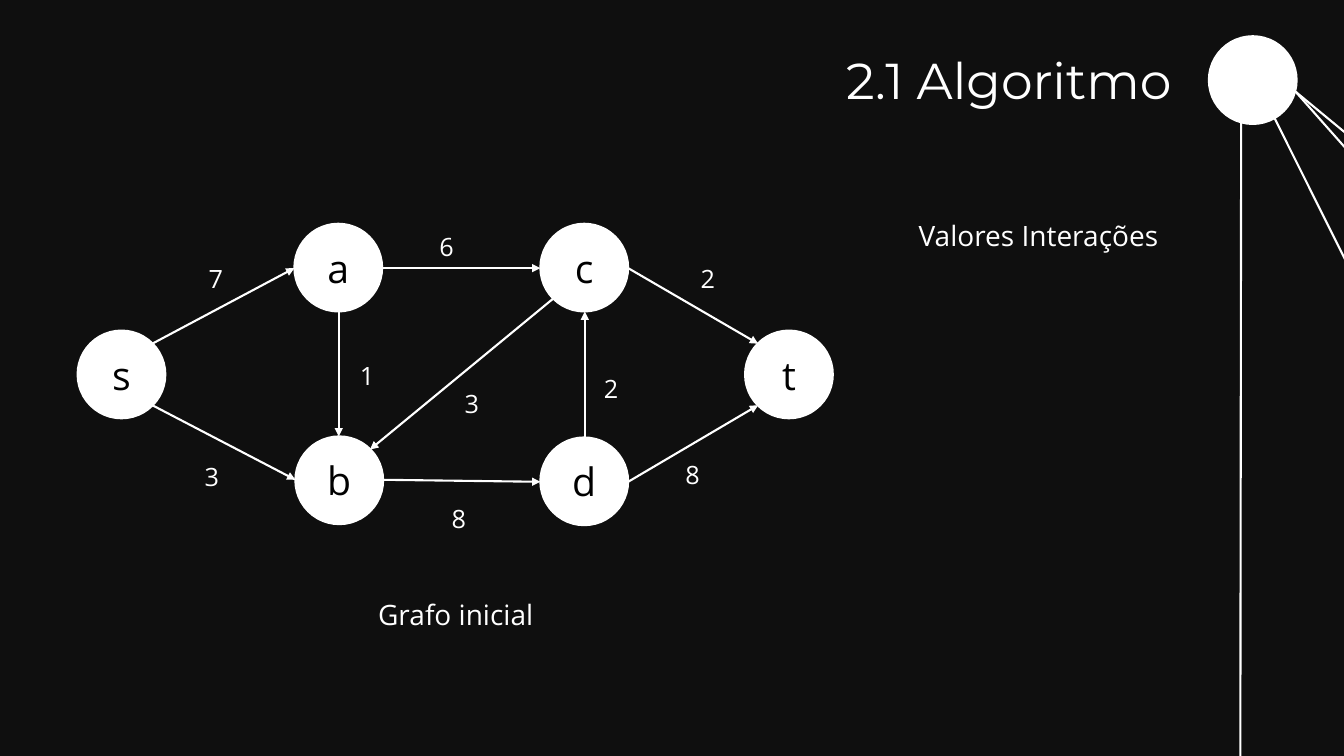
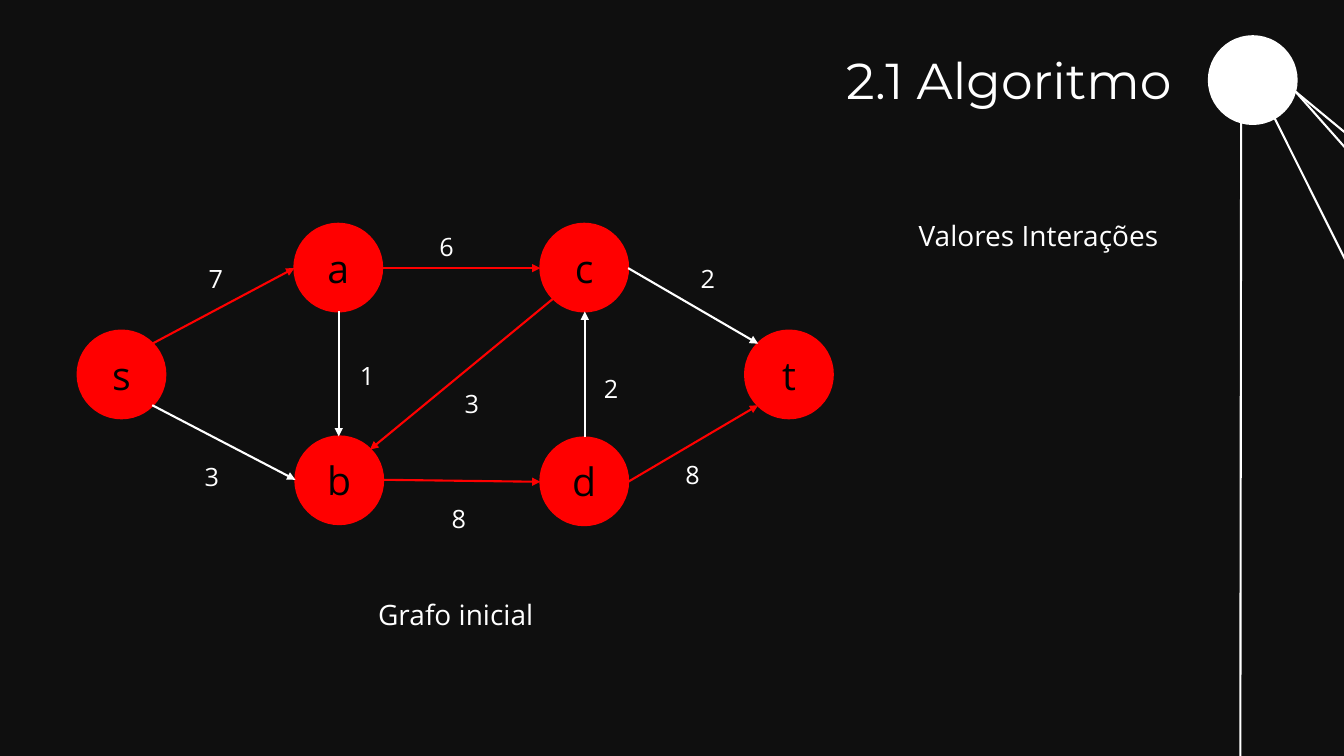
from dataclasses import dataclass
from math import sqrt

from pptx import Presentation
from pptx.dml.color import RGBColor
from pptx.enum.shapes import MSO_CONNECTOR as Connector, MSO_SHAPE as Preset
from pptx.enum.text import MSO_ANCHOR as Anchor, MSO_AUTO_SIZE as AutoSize, PP_ALIGN as Align
from pptx.oxml.ns import qn
from pptx.presentation import Presentation as Deck
from pptx.shapes.autoshape import Shape
from pptx.slide import Slide
from pptx.text.text import TextFrame
from pptx.util import Emu, Pt
from lxml.etree import SubElement

BLACK = RGBColor(0x00, 0x00, 0x00)
NIGHT = RGBColor(0x0F, 0x0F, 0x0F)
WHITE = RGBColor(0xFF, 0xFF, 0xFF)
RED = RGBColor(0xFF, 0x00, 0x00)

TITLE_FONT = "Montserrat"
BODY_FONT = "Open Sans"
LINE_WIDTH = Pt(1.5)
PX_PER_INCH = 100
DIAMETER = 87

Point = tuple[int, int]

DIAGONAL = 1 / sqrt(2)
COMPASS = {
    "N": (0, -1), "S": (0, 1), "W": (-1, 0), "E": (1, 0),
    "NE": (DIAGONAL, -DIAGONAL), "SE": (DIAGONAL, DIAGONAL),
    "NW": (-DIAGONAL, -DIAGONAL), "SW": (-DIAGONAL, DIAGONAL),
}


@dataclass(frozen=True)
class Node:
    left: int
    top: int

    def rim(self, direction: str) -> Point:
        """Point on the circle's edge in a compass direction."""
        dx, dy = COMPASS[direction]
        radius = DIAMETER / 2
        return round(self.left + radius * (1 + dx)), round(self.top + radius * (1 + dy))


@dataclass(frozen=True)
class Edge:
    source: str
    leaves: str
    target: str
    enters: str
    weight: str
    label_left: int
    label_top: int


@dataclass(frozen=True)
class Caption:
    text: str
    left: int
    top: int


NODES = {
    "s": Node(77, 328),
    "a": Node(292, 222),
    "b": Node(293, 433),
    "d": Node(536, 434),
    "c": Node(536, 222),
    "t": Node(739, 328),
}

EDGES = (
    Edge("s", "NE", "a", "W", "7", 197, 256),
    Edge("a", "E", "c", "W", "6", 426, 225),
    Edge("a", "S", "b", "N", "1", 347, 353),
    Edge("s", "SE", "b", "W", "3", 193, 453),
    Edge("c", "SW", "b", "NE", "3", 451, 380),
    Edge("b", "E", "d", "W", "8", 438, 494),
    Edge("d", "N", "c", "S", "2", 589, 365),
    Edge("c", "E", "t", "NW", "2", 685, 256),
    Edge("d", "E", "t", "SW", "8", 670, 451),
)

CAPTIONS = (Caption("Grafo inicial", 292, 588), Caption("Valores Interações", 870, 212))

CORNER_NODE = Node(1199, 36)
CORNER_LINES = (
    ((1231, 121), (1229, 1702)),
    ((1264, 117), (1640, 870)),
    ((1285, 91), (2302, 1240)),
    ((1285, 91), (2950, 1466)),
)

# Nodes on the highlighted path of each slide, in order.
PATHS = ("", "sacbdt")


def px(length: int) -> Emu:
    return Emu(length * 914400 // PX_PER_INCH)


def write(frame: TextFrame, text: str, *, size: int, color: RGBColor = WHITE,
          font: str = BODY_FONT, align: Align = Align.LEFT,
          anchor: Anchor = Anchor.TOP, grow: bool = True) -> None:
    frame.word_wrap = True
    frame.auto_size = AutoSize.SHAPE_TO_FIT_TEXT if grow else AutoSize.NONE
    frame.vertical_anchor = anchor
    para = frame.paragraphs[0]
    para.alignment = align
    span = para.add_run()
    span.text = text
    span.font.name = font
    span.font.size = Pt(size)
    span.font.color.rgb = color


def add_text(page: Slide, text: str, left: int, top: int, width: int, height: int, *,
             size: int, align: Align = Align.LEFT) -> None:
    box = page.shapes.add_textbox(px(left), px(top), px(width), px(height))
    write(box.text_frame, text, size=size, align=align)


def add_circle(page: Slide, node: Node, color: RGBColor) -> Shape:
    circle = page.shapes.add_shape(
        Preset.OVAL, px(node.left), px(node.top), px(DIAMETER), px(DIAMETER))
    circle.shadow.inherit = False
    circle.fill.solid()
    circle.fill.fore_color.rgb = color
    circle.line.color.rgb = color
    circle.line.width = LINE_WIDTH
    return circle


def add_line(page: Slide, start: Point, end: Point, *,
             color: RGBColor = WHITE, arrow: bool = False) -> None:
    line = page.shapes.add_connector(Connector.STRAIGHT, *map(px, start + end))
    line.line.color.rgb = color
    line.line.width = LINE_WIDTH
    properties = line.element.spPr
    if arrow:
        SubElement(properties.find(qn("a:ln")), qn("a:tailEnd"), type="triangle")
    SubElement(properties, qn("a:effectLst"))


def add_title(page: Slide, text: str) -> None:
    title = page.shapes.title
    title.left, title.top, title.width, title.height = map(px, (798, 44, 374, 71))
    write(title.text_frame, text, size=36, font=TITLE_FONT, align=Align.RIGHT)


def add_corner(page: Slide) -> None:
    add_circle(page, CORNER_NODE, WHITE)
    for start, end in CORNER_LINES:
        add_line(page, start, end)


def add_graph(page: Slide, path_nodes: str) -> None:
    """Draw the weighted graph with the nodes and edges of one path in red."""
    for name, node in NODES.items():
        circle = add_circle(page, node, RED if name in path_nodes else WHITE)
        write(circle.text_frame, name, size=28, color=BLACK, align=Align.CENTER,
              anchor=Anchor.MIDDLE, grow=False)
    for edge in EDGES:
        on_path = edge.source + edge.target in path_nodes
        add_line(page, NODES[edge.source].rim(edge.leaves), NODES[edge.target].rim(edge.enters),
                 color=RED if on_path else WHITE, arrow=True)
    for edge in EDGES:
        add_text(page, edge.weight, edge.label_left, edge.label_top, 49, 40, size=18)


def add_page(deck: Deck, path_nodes: str) -> None:
    page = deck.slides.add_slide(deck.slide_layouts.get_by_name("Title Only"))
    add_corner(page)
    add_title(page, "2.1 Algoritmo")
    add_graph(page, path_nodes)
    for caption in CAPTIONS:
        add_text(page, caption.text, caption.left, caption.top, 320, 44,
                 size=20, align=Align.CENTER)


def main() -> None:
    deck = Presentation()
    deck.slide_width, deck.slide_height = px(1333), px(750)
    backdrop = deck.slide_master.background.fill
    backdrop.solid()
    backdrop.fore_color.rgb = NIGHT
    for path_nodes in PATHS:
        add_page(deck, path_nodes)
    deck.save("out.pptx")


if __name__ == "__main__":
    main()
